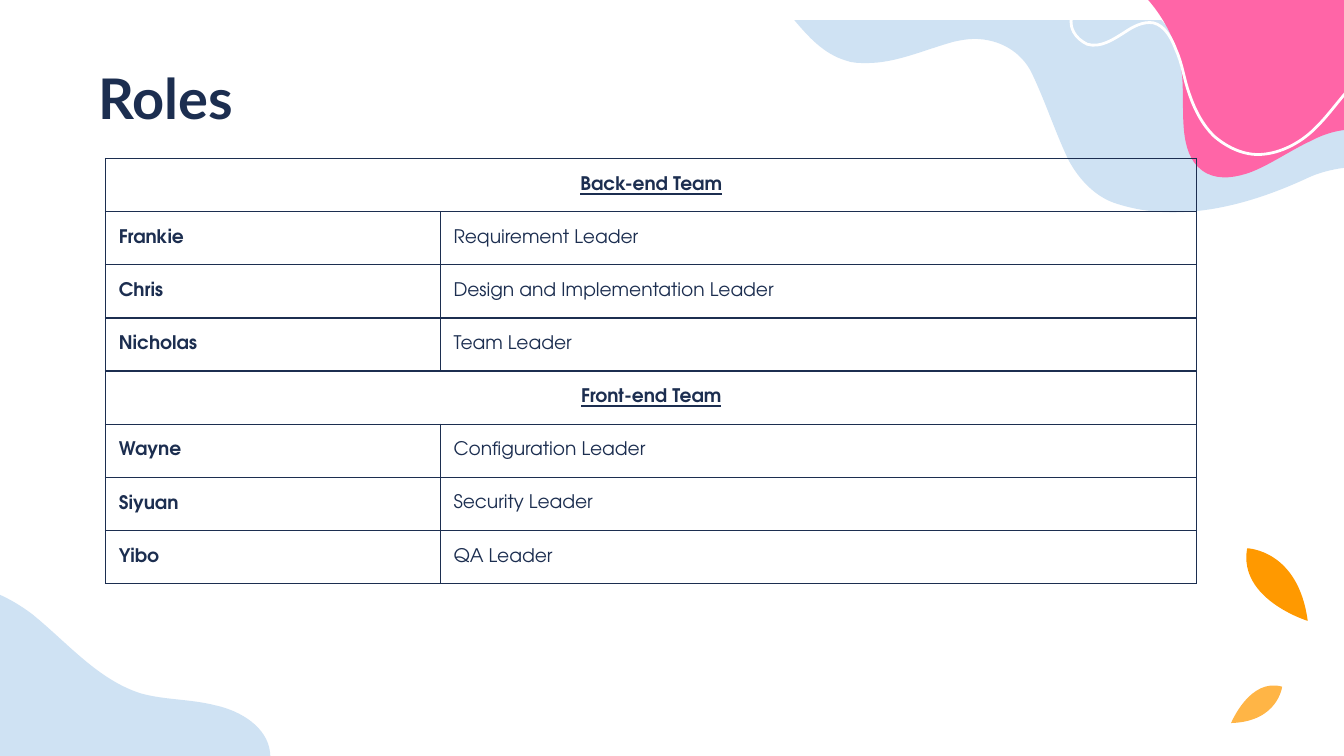
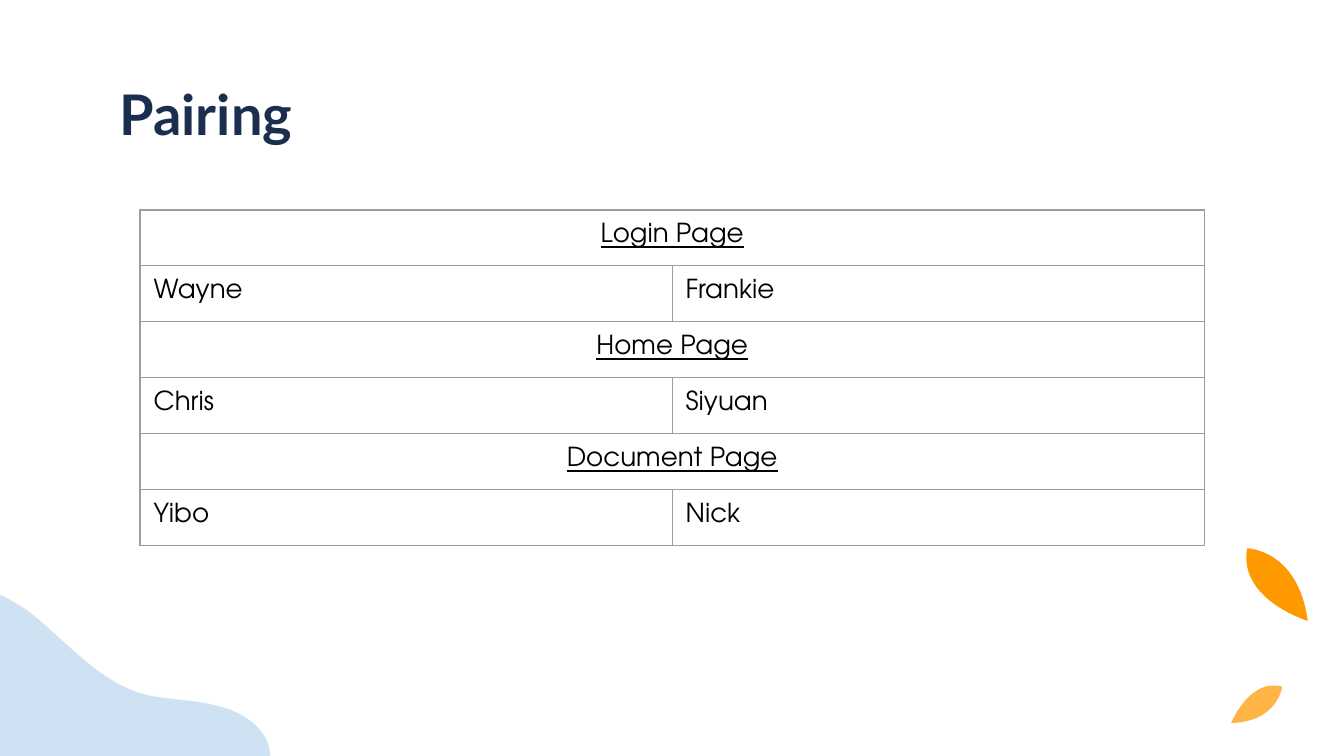
from lxml.etree import SubElement
from pptx import Presentation
from pptx.dml.color import RGBColor
from pptx.enum.text import MSO_ANCHOR as Anchor, MSO_AUTO_SIZE as AutoSize, PP_ALIGN as Align
from pptx.oxml.ns import qn
from pptx.util import Inches, Pt

WIDTH = Inches(10)
HEIGHT = WIDTH * 9 // 16
CELL = WIDTH // 1000
INSET = 10 * CELL

NAVY = RGBColor(0x1C, 0x2E, 0x50)
BLACK = RGBColor(0, 0, 0)
GREY = RGBColor(0x9E, 0x9E, 0x9E)
WHITE = RGBColor(0xFF, 0xFF, 0xFF)
SKY = RGBColor(0xCF, 0xE2, 0xF3)
PINK = RGBColor(0xFF, 0x65, 0xA7)
ORANGE = RGBColor(0xFF, 0x99, 0x00)
APRICOT = RGBColor(0xFF, 0xB5, 0x46)

TITLE_FONT = {"name": "Lato", "size": Pt(30), "bold": True}
TABLE_FONT = "TeX Gyre Adventor"

CORNER_WAVE = [
    (-249, 644), (-251, 631, -254, 618, -258, 614), (-268, 604, -281, 596, -287, 583),
    (-299, 560, -279, 532, -255, 523), (-231, 514, -204, 518, -178, 520),
    (-152, 522, -124, 520, -105, 502), (-89, 487, -84, 463, -68, 448),
    (-41, 422, -1, 438, 24, 457), (50, 478, 73, 506, 105, 516),
    (123, 521, 142, 520, 161, 525), (179, 529, 199, 541, 201, 560),
    (204, 582, 183, 600, 162, 610), (109, 634, 44, 635, 3, 676),
    (-7, 686, -16, 699, -27, 708), (-57, 734, -103, 732, -140, 719),
    (-178, 705, -211, 682, -248, 668), (-247, 668, -248, 656, -249, 644),
]
LARGE_LEAF = [(973, 462), (973, 462, 921, 446, 928, 408), (928, 408, 966, 409, 973, 462)]
SMALL_LEAF = [(916, 538), (916, 538, 930, 504, 954, 511), (954, 511, 951, 537, 916, 538)]
TOP_WAVE = [
    (873, 158), (907, 158, 942, 147, 974, 132), (985, 127, 1000, 124, 1014, 124),
    (1024, 124, 1033, 126, 1042, 128), (1042, 70), (1038, 68, 1033, 67, 1028, 67),
    (1023, 67, 1019, 68, 1015, 69), (988, 77, 960, 98, 933, 98),
    (922, 98, 912, 95, 901, 86), (881, 69, 885, 42, 869, 21),
    (868, 19, 866, 17, 864, 15), (591, 15), (602, 28, 613, 40, 629, 45),
    (634, 47, 640, 47, 645, 47), (667, 47, 688, 37, 710, 31),
    (715, 30, 720, 29, 725, 29), (743, 29, 760, 38, 768, 55),
    (778, 76, 785, 98, 795, 119), (803, 134, 815, 146, 829, 151),
    (844, 156, 858, 158, 873, 158),
]
PINK_BLOB = [
    (764, -39), (822, -44, 879, 6, 880, 64), (881, 88, 877, 118, 898, 129),
    (908, 134, 920, 132, 931, 128), (946, 122, 960, 112, 975, 105),
    (990, 97, 1008, 93, 1024, 100), (1038, 106, 1047, 121, 1058, 133),
    (1069, 145, 1087, 154, 1101, 145), (1111, 138, 1114, 123, 1110, 112),
    (1106, 100, 1097, 91, 1088, 82), (1070, 63, 1051, 44, 1033, 25),
    (1025, 17, 1017, 8, 1016, -3), (1014, -24, 1038, -39, 1038, -60),
    (1038, -78, 1020, -91, 1002, -96), (985, -101, 966, -101, 949, -95),
    (920, -87, 896, -67, 867, -60), (840, -53, 812, -60, 785, -66),
]
WHITE_CURL = [
    (800, 1), (799, 3, 798, 5, 798, 7), (797, 13, 796, 19, 799, 24),
    (801, 28, 805, 31, 809, 33), (819, 36, 829, 29, 837, 24),
    (843, 20, 850, 16, 858, 17), (867, 19, 872, 29, 875, 37),
    (880, 48, 881, 59, 885, 70), (889, 82, 895, 93, 903, 101),
    (912, 109, 924, 115, 936, 115), (950, 115, 965, 108, 976, 98),
    (987, 88, 995, 76, 1005, 65), (1010, 59, 1015, 54, 1021, 50),
    (1028, 47, 1036, 46, 1042, 50),
]

TABLES = [
    {
        "title": "Roles", "title_at": (63, 37), "outlines": [(TOP_WAVE, SKY), (PINK_BLOB, PINK), (WHITE_CURL, None)],
        "at": (78.5, 118), "columns": (249, 563), "height": 316.5,
        "border": NAVY, "color": NAVY, "size": Pt(10), "bold": True,
        "anchor": Anchor.MIDDLE, "margin": 0, "space_after": Pt(16),
        "rows": [
            ("Back-end Team",),
            ("Frankie", "Requirement Leader"),
            ("Chris", "Design and Implementation Leader"),
            ("Nicholas", "Team Leader"),
            ("Front-end Team",),
            ("Wayne", "Configuration Leader"),
            ("Siyuan", "Security Leader"),
            ("Yibo", "QA Leader"),
        ],
    },
    {
        "title": "Pairing", "title_at": (79, 49), "outlines": [],
        "at": (104.2, 156.2), "columns": (396, 396), "height": 250,
        "border": GREY, "color": BLACK, "size": Pt(14), "bold": False,
        "anchor": Anchor.TOP, "margin": INSET, "space_after": Pt(0),
        "rows": [
            ("Login Page",),
            ("Wayne", "Frankie"),
            ("Home Page",),
            ("Chris", "Siyuan"),
            ("Document Page",),
            ("Yibo", "Nick"),
        ],
    },
]


def draw_outline(page, outline, fill):
    points = [(x * CELL, y * CELL) for part in outline for x, y in zip(part[::2], part[1::2])]
    builder = page.shapes.build_freeform(*points[0])
    builder.add_line_segments(points[1:], close=fill is not None)
    shape = builder.convert_to_shape()
    segments = iter(list(shape.element.iter(qn("a:lnTo"))))
    for part in outline[1:]:
        first = next(segments)
        if len(part) == 6:
            first.addprevious(first.makeelement(qn("a:cubicBezTo")))
            curve = first.getprevious()
            for segment in (first, next(segments), next(segments)):
                curve.append(segment[0])
                segment.getparent().remove(segment)
    shape.shadow.inherit = False
    if fill is None:
        shape.fill.background()
        shape.line.color.rgb = WHITE
        shape.line.width = Pt(1.5)
    else:
        shape.fill.solid()
        shape.fill.fore_color.rgb = fill
        shape.line.fill.background()
    return shape


def write_text(para, text, color, align, font):
    para.alignment = align
    span = para.add_run()
    span.text = text
    span.font.color.rgb = color
    for name, value in font.items():
        setattr(span.font, name, value)


deck = Presentation()
deck.slide_width, deck.slide_height = WIDTH, HEIGHT
layout = deck.slide_layouts.get_by_name("Title Only")
for holder in list(layout.placeholders)[1:]:
    layout.shapes.element.remove(holder.element)

pages = [deck.slides.add_slide(layout) for plan in TABLES]
decorations = [(CORNER_WAVE, SKY), (LARGE_LEAF, ORANGE), (SMALL_LEAF, APRICOT)]
shared = [draw_outline(pages[0], outline, fill) for outline, fill in decorations]
for shape in shared:
    layout.shapes.element.append(shape.element)

for page, plan in zip(pages, TABLES):
    for outline, fill in plan["outlines"]:
        draw_outline(page, outline, fill)

    title = page.shapes.title
    page.shapes.element.append(title.element)
    left, top = plan["title_at"]
    for name, value in {"left": left, "top": top, "width": 843, "height": 63}.items():
        setattr(title, name, value * CELL)
    frame = title.text_frame
    frame_format = {
        "margin_left": INSET, "margin_right": INSET, "margin_top": INSET, "margin_bottom": INSET,
        "vertical_anchor": Anchor.TOP, "auto_size": AutoSize.NONE, "word_wrap": True,
    }
    for name, value in frame_format.items():
        setattr(frame, name, value)
    write_text(frame.paragraphs[0], plan["title"], NAVY, Align.LEFT, TITLE_FONT)

    left, top, height = (round(value * CELL) for value in (*plan["at"], plan["height"]))
    rows, columns = plan["rows"], plan["columns"]
    table = page.shapes.add_table(len(rows), len(columns), left, top, sum(columns) * CELL, height).table
    table.first_row = table.horz_banding = False
    for column, width in zip(table.columns, columns):
        column.width = width * CELL

    cell_format = {
        "margin_left": INSET, "margin_right": INSET,
        "margin_top": plan["margin"], "margin_bottom": plan["margin"],
        "vertical_anchor": plan["anchor"],
    }
    for row, texts in enumerate(rows):
        heading = len(texts) == 1
        for column in range(len(columns)):
            cell = table.cell(row, column)
            for name, value in cell_format.items():
                setattr(cell, name, value)
            properties = cell._tc.get_or_add_tcPr()
            for side in ("a:lnL", "a:lnR", "a:lnT", "a:lnB"):
                border = SubElement(properties, qn(side), w=str(Pt(0.75)))
                paint = SubElement(border, qn("a:solidFill"))
                SubElement(paint, qn("a:srgbClr"), val=str(plan["border"]))
            cell.fill.background()
        if heading:
            table.cell(row, 0).merge(table.cell(row, 1))
        for column, text in enumerate(texts):
            para = table.cell(row, column).text_frame.paragraphs[0]
            if column == 1:
                para.space_after = plan["space_after"]
            font = {
                "name": TABLE_FONT, "size": plan["size"],
                "bold": plan["bold"] and column == 0, "underline": heading,
            }
            write_text(para, text, plan["color"], Align.CENTER if heading else Align.LEFT, font)

deck.save("out.pptx")
